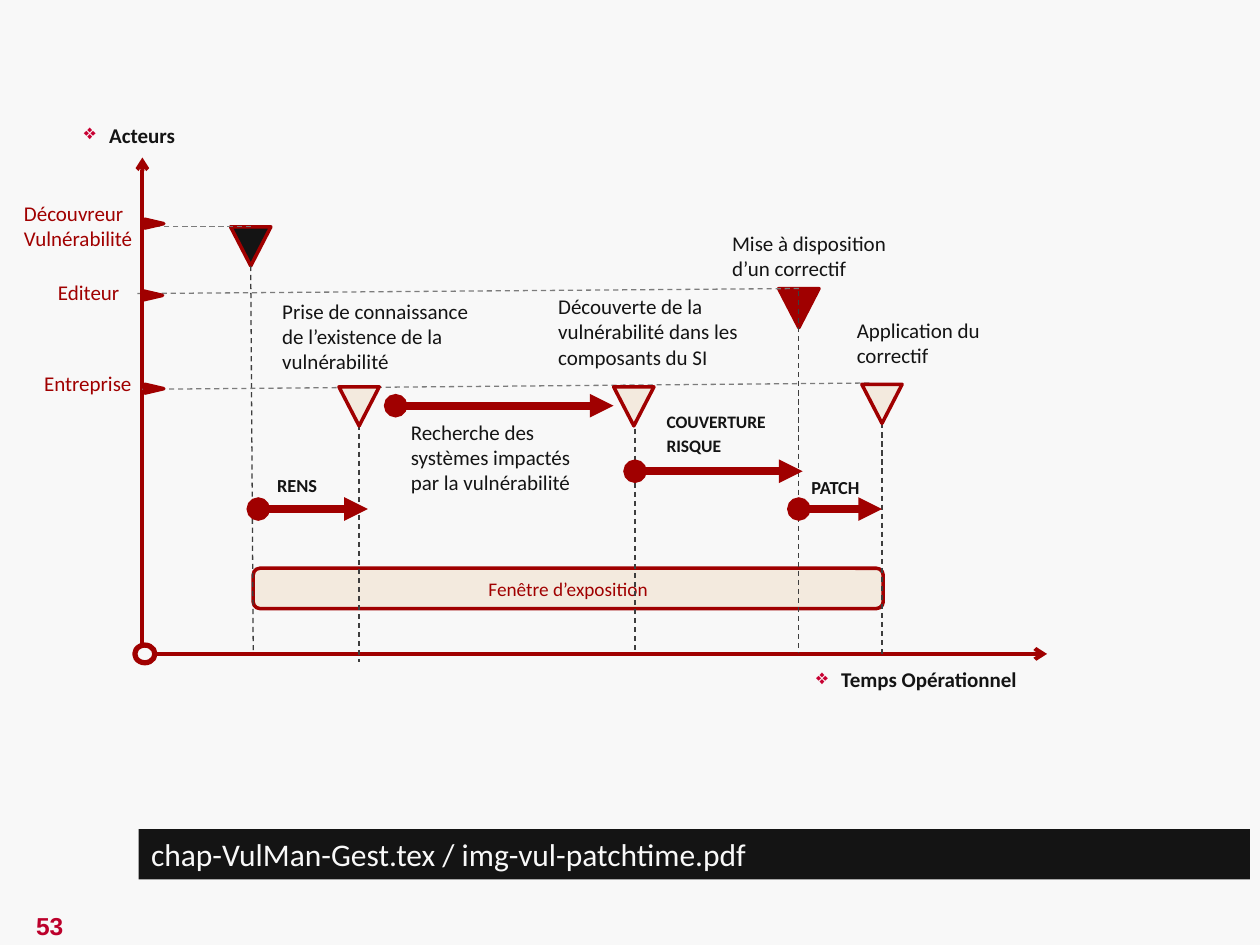
from dataclasses import dataclass

from lxml import etree
from pptx import Presentation
from pptx.dml.color import RGBColor
from pptx.enum import dml, shapes, text
from pptx.oxml import ns
from pptx.util import Inches, Pt


@dataclass(frozen=True)
class Theme:
    paper: str = "F8F8F8"
    ink: str = "141414"
    red: str = "A00000"
    cream: str = "F3EADE"
    drop: str = "3E3E3E"
    lane: str = "7C7C7C"
    bullet: str = "C80032"
    number: str = "BC002B"
    font: str = "Calibri"
    body: float = 12
    window: float = 11
    phase: float = 10.5
    cover: float = 10
    caption: float = 18
    page: float = 14


@dataclass(frozen=True)
class Box:
    left: float
    top: float
    width: float
    height: float

    def inner(self, left, top, width, height):
        return Box(self.left + left, self.top + top, width, height)

    def lengths(self):
        return [Inches(v) for v in (self.left, self.top, self.width, self.height)]


THEME = Theme()
TRIANGLE_W, TRIANGLE_H = 0.32, 0.31

# Positions below are relative to the plot, whose lower left corner is the origin.
# Triangle left, triangle top, fill, drop line (from x, from y, to x, to y)
EVENTS = [
    (0.70, 0.55, THEME.ink, (0.86, 0.86, 0.88, 3.94)),
    (5.05, 1.04, THEME.red, (5.21, 1.06, 5.21, 3.93)),
    (1.56, 1.82, THEME.cream, (1.72, 2.12, 1.72, 4.0)),
    (3.74, 1.82, THEME.cream, (3.91, 2.08, 3.91, 3.93)),
    (5.71, 1.80, THEME.cream, (5.87, 2.11, 5.87, 3.96)),
]
# Actor, label box, marker left and top, lane line
ACTORS = [
    ("Entreprise", (-0.85, 1.65, 1.02, 0.25), (0.06, 1.76), (5.77, 1.79, 0, 1.84)),
    ("Editeur", (-0.74, 0.93, 1.02, 0.25), (0.05, 1.02), (5.21, 1.04, -0.04, 1.08)),
    ("Découvreur Vulnérabilité", (-1.01, 0.3, 1.45, 0.25), (0.06, 0.45),
     (0.86, 0.55, 0.01, 0.55)),
]
# From x, to x, y
PHASES = [(2.01, 3.74, 1.97), (0.92, 1.79, 2.79), (5.21, 5.87, 2.79), (3.91, 5.24, 2.49)]
NOTES = [
    ("Prise de connaissance de l’existence de la vulnérabilité", (1.04, 1.08, 1.8, 0.84)),
    ("Recherche des systèmes impactés par la vulnérabilité", (2.06, 2.04, 1.52, 0.63)),
    ("Découverte de la vulnérabilité dans les composants du SI", (3.23, 1.04, 1.67, 0.81)),
    ("Application du correctif", (5.6, 1.23, 1.52, 0.81)),
    ("Mise à disposition d’un correctif", (4.61, 0.54, 1.52, 0.81)),
]
PHASE_NAMES = [
    ("RENS", (1.0, 2.47, 0.8, 0.26), THEME.phase),
    ("PATCH", (5.24, 2.49, 0.89, 0.26), THEME.phase),
    ("COUVERTURE\nRISQUE", (4.09, 1.97, 0.99, 0.44), THEME.cover),
]
AXIS_NAMES = [("Acteurs", (-0.91, -0.32, 1.24, 0.53)),
              ("Temps Opérationnel", (4.2, 4.0, 2.81, 0.29))]


def color(value):
    return RGBColor.from_string(value)


def add_bullet(paragraph):
    props = paragraph._p.get_or_add_pPr()
    props.set("marL", str(Inches(0.2)))
    props.set("indent", str(Inches(-0.2)))
    tint = etree.SubElement(props, ns.qn("a:buClr"))
    etree.SubElement(tint, ns.qn("a:srgbClr"), val=THEME.bullet)
    etree.SubElement(props, ns.qn("a:buChar"), char="❖")


def write(frame, words, size=THEME.body, tint=THEME.ink, bold=False, font=THEME.font,
          align=text.PP_ALIGN.LEFT, anchor=text.MSO_ANCHOR.TOP, bullet=False,
          insets=(0.07, 0.04)):
    frame.word_wrap = True
    frame.vertical_anchor = anchor
    frame.margin_left = frame.margin_right = Inches(insets[0])
    frame.margin_top = frame.margin_bottom = Inches(insets[1])
    for index, line in enumerate(words.split("\n")):
        paragraph = frame.add_paragraph() if index else frame.paragraphs[0]
        paragraph.alignment = align
        if index:
            paragraph.space_before = Pt(0.2 * size)
        if bullet:
            add_bullet(paragraph)
        run = paragraph.add_run()
        run.text = line
        run.font.name, run.font.size, run.font.bold = font, Pt(size), bold
        run.font.color.rgb = color(tint)


def add_label(slide, box, words, **style):
    write(slide.shapes.add_textbox(*box.lengths()).text_frame, words, **style)


def add_figure(slide, kind, box, fill, line=THEME.red, width=2, rotation=0):
    figure = slide.shapes.add_shape(kind, *box.lengths())
    figure.shadow.inherit = False
    figure.rotation = rotation
    figure.fill.solid()
    figure.fill.fore_color.rgb = color(fill)
    if line:
        figure.line.color.rgb = color(line)
        figure.line.width = Pt(width)
    else:
        figure.line.fill.background()
    return figure


def add_line(slide, box, ends, tint=THEME.red, width=0.75, dashed=False, head=None, tail=None):
    """Draw a line between two points relative to the box."""
    x1, y1, x2, y2 = ends
    line = slide.shapes.add_connector(
        shapes.MSO_CONNECTOR.STRAIGHT, Inches(box.left + x1), Inches(box.top + y1),
        Inches(box.left + x2), Inches(box.top + y2))
    line.line.color.rgb = color(tint)
    line.line.width = Pt(width)
    if dashed:
        line.line.dash_style = dml.MSO_LINE.DASH
    outline = line.line._get_or_add_ln()
    for tag, arrow in (("a:headEnd", head), ("a:tailEnd", tail)):
        if arrow:
            etree.SubElement(outline, ns.qn(tag), type=arrow)
    etree.SubElement(line._element.spPr, ns.qn("a:effectLst"))


def add_axes(slide, plot):
    for end in ((plot.width, plot.height), (0, 0)):
        add_line(slide, plot, (0, plot.height, *end), width=2.25, tail="arrow")
    add_figure(slide, shapes.MSO_SHAPE.OVAL, plot.inner(-0.06, plot.height - 0.07, 0.16, 0.14),
               THEME.paper, width=3)
    for words, place in AXIS_NAMES:
        add_label(slide, plot.inner(*place), words, bold=True, bullet=True,
                  align=text.PP_ALIGN.RIGHT)


def add_event(slide, plot, left, top, fill):
    add_figure(slide, shapes.MSO_SHAPE.ISOSCELES_TRIANGLE,
               plot.inner(left, top, TRIANGLE_W, TRIANGLE_H), fill, rotation=180)


def add_exposure_window(slide, box):
    window = add_figure(slide, shapes.MSO_SHAPE.ROUNDED_RECTANGLE, box, THEME.cream)
    write(window.text_frame, "Fenêtre d’exposition", size=THEME.window, tint=THEME.red,
          align=text.PP_ALIGN.CENTER, anchor=text.MSO_ANCHOR.MIDDLE, insets=(0.1, 0.05))


def add_timeline(slide, plot):
    add_axes(slide, plot)
    for left, top, fill, _ in EVENTS[:2]:
        add_event(slide, plot, left, top, fill)
    add_exposure_window(slide, plot.inner(0.88, 3.26, 5, 0.32))
    for *_, drop in EVENTS:
        add_line(slide, plot, drop, tint=THEME.drop, dashed=True)
    for actor, place, marker, lane in ACTORS:
        add_line(slide, plot, lane, tint=THEME.lane, dashed=True)
        add_label(slide, plot.inner(*place), actor, tint=THEME.red)
        add_figure(slide, shapes.MSO_SHAPE.ISOSCELES_TRIANGLE, plot.inner(*marker, 0.07, 0.15),
                   THEME.red, rotation=90)
    for left, top, fill, _ in EVENTS[2:]:
        add_event(slide, plot, left, top, fill)
    for start, end, y in PHASES:
        add_line(slide, plot, (start, y, end, y), width=4.5, head="oval", tail="triangle")
    for words, place in NOTES:
        add_label(slide, plot.inner(*place), words)
    for words, place, size in PHASE_NAMES:
        add_label(slide, plot.inner(*place), words, size=size, bold=True)


def add_caption(slide, box):
    bar = add_figure(slide, shapes.MSO_SHAPE.RECTANGLE, box, THEME.ink, line=None)
    write(bar.text_frame, "chap-VulMan-Gest.tex / img-vul-patchtime.pdf", size=THEME.caption,
          tint=THEME.paper, insets=(0.1, 0.05))


def add_page_number(slide, box):
    add_label(slide, box, "53", size=THEME.page, tint=THEME.number, bold=True, font="Arial",
              align=text.PP_ALIGN.CENTER, anchor=text.MSO_ANCHOR.MIDDLE, insets=(0.1, 0.05))


def main():
    deck = Presentation()
    deck.slide_width, deck.slide_height = Inches(10), Inches(7.5)
    slide = deck.slides.add_slide(deck.slide_layouts[6])
    slide.background.fill.solid()
    slide.background.fill.fore_color.rgb = color(THEME.paper)
    add_page_number(slide, Box(-0.02, 7.18, 0.83, 0.34))
    add_timeline(slide, Box(1.13, 1.25, 7.18, 3.94))
    add_caption(slide, Box(1.1, 6.58, 8.82, 0.4))
    deck.save("out.pptx")


if __name__ == "__main__":
    main()
